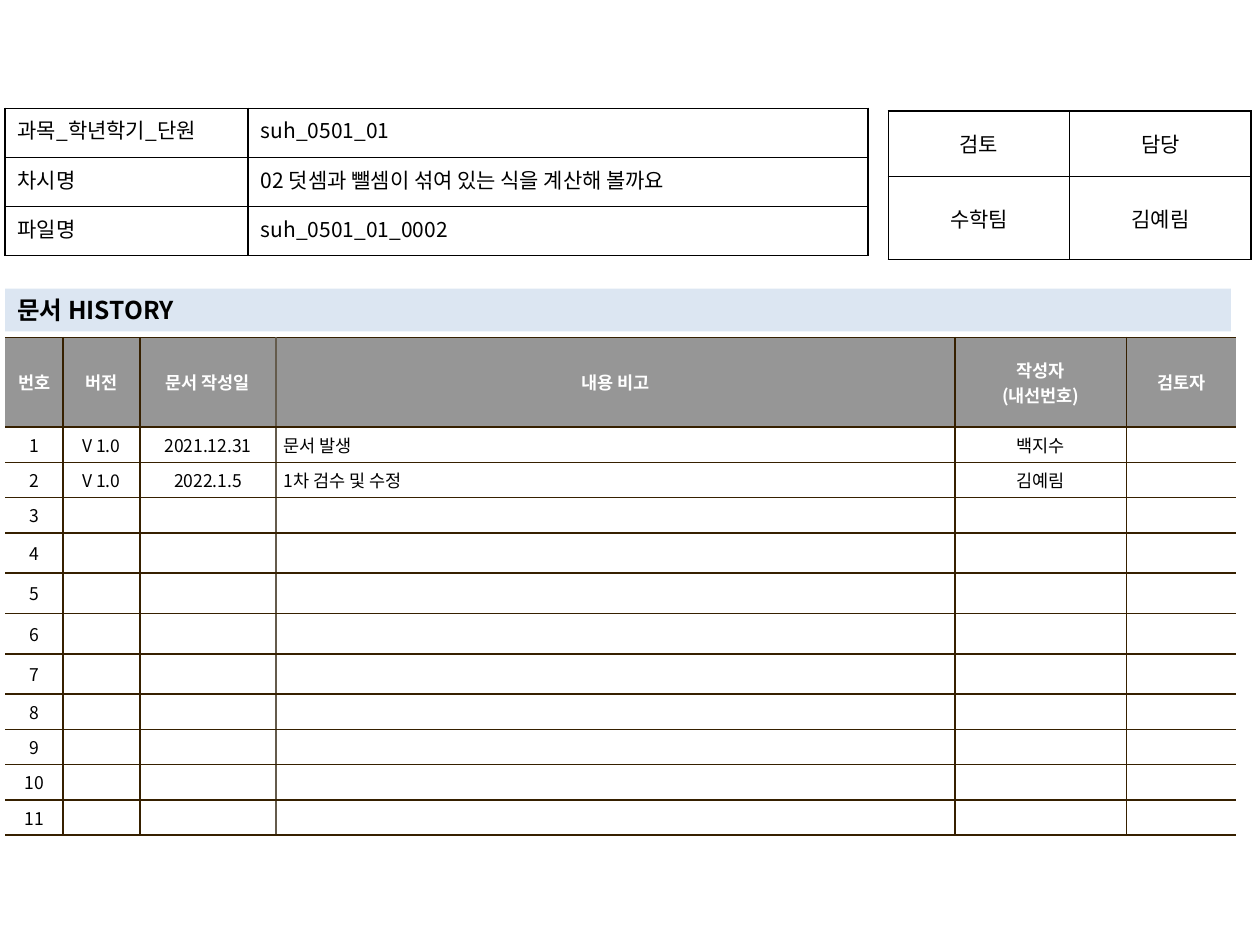
from lxml.etree import SubElement
from pptx import Presentation
from pptx.dml.color import RGBColor
from pptx.enum.shapes import MSO_SHAPE
from pptx.enum.text import MSO_ANCHOR, PP_ALIGN
from pptx.oxml import parse_xml
from pptx.oxml.ns import nsdecls, qn
from pptx.util import Inches, Pt

FONT = "Noto Sans CJK KR"
PLAIN = "{2D5ABB26-0587-4C30-8999-92F81FD0307C}"
HUES = {"ink": "000000", "paper": "FFFFFF", "head": "969696",
        "band": "DCE6F2", "rule": "362000", "soft": "645B4C"}
LEFT, MID, JUST = PP_ALIGN.LEFT, PP_ALIGN.CENTER, PP_ALIGN.JUSTIFY

INFO = [
    ("과목_학년학기_단원", "suh_0501_01"),
    ("차시명", "02 덧셈과 뺄셈이 섞여 있는 식을 계산해 볼까요"),
    ("파일명", "suh_0501_01_0002"),
]
SIGN = [("검토", "담당"), ("수학팀", "김예림")]
TITLE = "문서 HISTORY"
HEAD = ("번호", "버전", "문서 작성일", "내용 비고", "작성자\n(내선번호)", "검토자")
DONE = [
    ("V 1.0", "2021.12.31", "문서 발생", "백지수", ""),
    ("V 1.0", "2022.1.5", "1차 검수 및 수정", "김예림", ""),
]
COUNT = 11
TALL = range(4, 8)
NOTE = 3
SOFT = 2  # the column whose right rule is lighter

EDGE = 0.04
LOG = [HEAD] + [(str(n + 1), *(DONE[n] if n < len(DONE) else [""] * 5))
                for n in range(COUNT)]
LOG_ROWS = [0.71] + [0.32 if n in TALL else 0.28 for n in range(1, COUNT + 1)]


def color(name):
    return RGBColor.from_string(HUES[name])


def write(frame, text, size=12, hue="ink", bold=False, align=LEFT,
          anchor=MSO_ANCHOR.MIDDLE, pad=(0.1, 0.05)):
    frame.word_wrap = True
    frame.vertical_anchor = anchor
    frame.margin_left = frame.margin_right = Inches(pad[0])
    frame.margin_top = frame.margin_bottom = Inches(pad[1])
    for i, line in enumerate(text.split("\n")):
        para = frame.paragraphs[0] if i == 0 else frame.add_paragraph()
        para.alignment = align
        if not line:
            # an empty cell keeps its row low only through its end mark
            end = para._p.get_or_add_endParaRPr()
            end.set("sz", str(size * 100))
            continue
        run = para.add_run()
        run.text = line
        font = run.font
        font.size, font.bold, font.name = Pt(size), bold, FONT
        font.color.rgb = color(hue)
        SubElement(font._element, qn("a:ea")).set("typeface", FONT)


def border(cell, sides):
    """Draw 1 pt rules; sides maps L, R, T, B to a colour name or None."""
    for at, (side, hue) in enumerate(sides.items()):
        fill = (f'<a:solidFill><a:srgbClr val="{HUES[hue]}"/></a:solidFill>'
                if hue else "<a:noFill/>")
        line = f'<a:ln{side} {nsdecls("a")} w="12700">{fill}</a:ln{side}>'
        cell._tc.get_or_add_tcPr().insert(at, parse_xml(line))


def grid(slide, data, left, top, cols, rows, style, rules, fill=None):
    """Add a table; style, rules and fill give a cell's look from row, column."""
    frame = slide.shapes.add_table(
        len(rows), len(cols), Inches(left), Inches(top),
        Inches(sum(cols)), Inches(sum(rows)))
    table = frame.table
    table._tbl.tblPr.find(qn("a:tableStyleId")).text = PLAIN
    table.first_row = table.horz_banding = False
    for col, width in zip(table.columns, cols):
        col.width = Inches(width)
    for row, high in zip(table.rows, rows):
        row.height = Inches(high)
    for r, line in enumerate(data):
        for c, text in enumerate(line):
            cell = table.cell(r, c)
            look = style(r, c)
            write(cell.text_frame, text, **look)
            cell.vertical_anchor = look.get("anchor", MSO_ANCHOR.MIDDLE)
            pad = look.get("pad", (0.1, 0.05))
            cell.margin_left = cell.margin_right = Inches(pad[0])
            cell.margin_top = cell.margin_bottom = Inches(pad[1])
            if fill:
                cell.fill.solid()
                cell.fill.fore_color.rgb = color(fill(r))
            else:
                cell.fill.background()
            border(cell, rules(c))


def box(c):
    return dict.fromkeys("LRTB", "ink")


def log_rules(c):
    last = len(HEAD) - 1
    return {
        "L": None if c == 0 else "soft" if c == SOFT + 1 else "rule",
        "R": None if c == last else "soft" if c == SOFT else "rule",
        "T": "rule", "B": "rule"}


def log_style(r, c):
    return dict(size=10, bold=r == 0, hue="ink" if r else "paper",
                align=LEFT if r and c == NOTE else MID, pad=(0.06, 0.04))


def main():
    deck = Presentation()
    deck.slide_width, deck.slide_height = Inches(10), Inches(7.5)
    slide = deck.slides.add_slide(deck.slide_layouts[6])

    grid(slide, LOG, EDGE, 2.68, [0.46, 0.61, 1.08, 5.39, 1.36, 0.87],
         LOG_ROWS, log_style, log_rules, lambda r: "paper" if r else "head")
    grid(slide, SIGN, 7.05, 0.88, [1.44] * 2, [0.52, 0.66],
         lambda r, c: dict(align=MID), box)

    band = slide.shapes.add_shape(
        MSO_SHAPE.RECTANGLE, Inches(EDGE), Inches(2.29),
        Inches(9.73), Inches(0.34))
    band.shadow.inherit = False
    band.fill.solid()
    band.fill.fore_color.rgb = color("band")
    band.line.fill.background()
    write(band.text_frame, TITLE, size=14, bold=True, pad=(0.1, 0))

    grid(slide, INFO, EDGE, 0.86, [1.93, 4.92], [0.39] * 3,
         lambda r, c: dict(align=LEFT if c else JUST, anchor=MSO_ANCHOR.TOP),
         box)
    deck.save("out.pptx")


if __name__ == "__main__":
    main()
